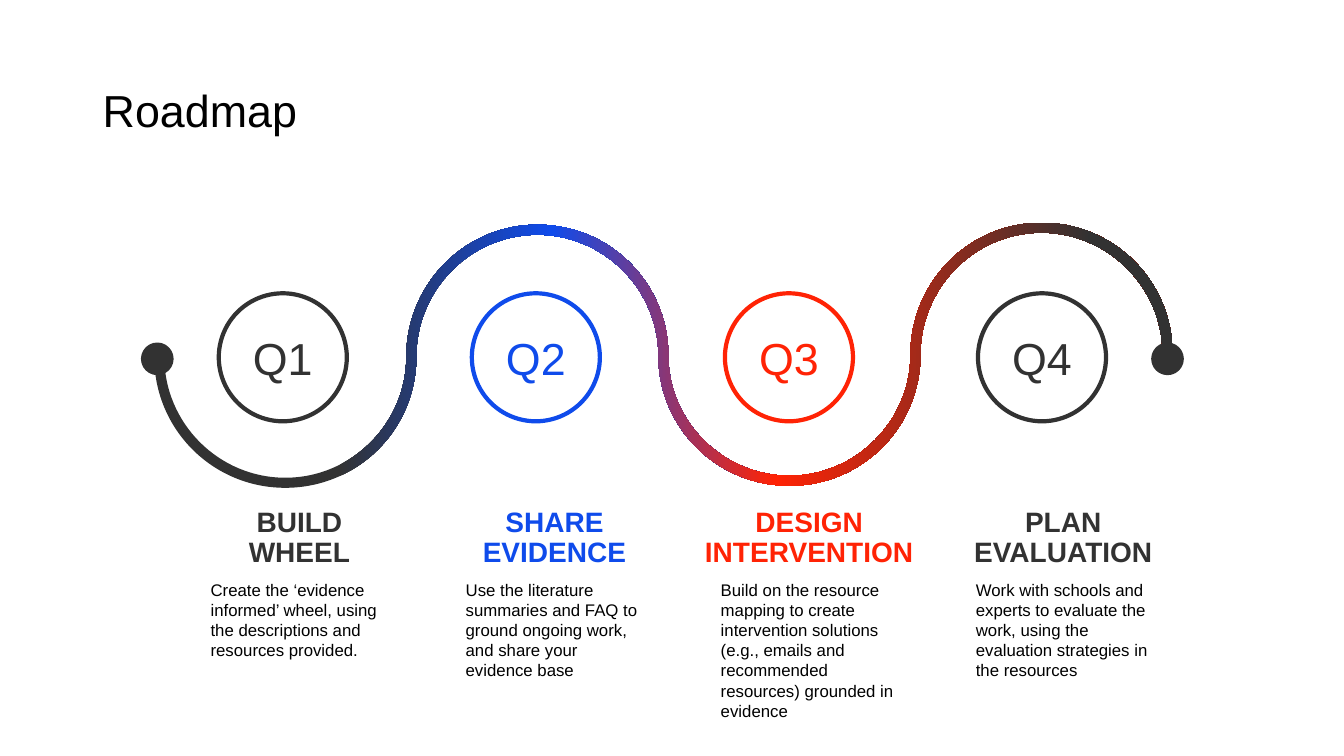
from lxml.etree import SubElement
from pptx import Presentation
from pptx.dml.color import RGBColor as RGB
from pptx.enum.shapes import MSO_SHAPE as Shape
from pptx.enum.text import MSO_ANCHOR as Anchor, PP_ALIGN as Align
from pptx.oxml.ns import qn
from pptx.util import Pt

PX = 9144
BEND = 0.55
DARK, BLUE, RED, WHITE, BLACK = "323232", "0F4BEB", "FF2305", "FFFFFF", "000000"
STEPS = [
    ("Q1", DARK, "BUILD WHEEL", 199, 196,
     "Create the ‘evidence informed’ wheel, using the descriptions and resources provided."),
    ("Q2", BLUE, "SHARE EVIDENCE", 452, 196,
     "Use the literature summaries and FAQ to ground ongoing work, and share your evidence base"),
    ("Q3", RED, "DESIGN INTERVENTION", 685, 235,
     "Build on the resource mapping to create intervention solutions (e.g., emails and "
     "recommended resources) grounded in evidence"),
    ("Q4", DARK, "PLAN EVALUATION", 945, 219,
     "Work with schools and experts to evaluate the work, using the evaluation strategies "
     "in the resources"),
]
STOPS = [(18, DARK), (39, BLUE), (61, RED), (92, DARK)]
TITLE = {"size": Pt(32)}
HEAD = {"size": Pt(20), "bold": True}
BODY = {"size": Pt(12)}


def px(*nums):
    return [num * PX for num in nums]


def tint(color, code):
    color.rgb = RGB.from_string(code)


def apply(item, values):
    for name, value in values.items():
        setattr(item, name, value)


def write(frame, text, code, font, para):
    line = frame.paragraphs[0]
    apply(line, para)
    run = line.add_run()
    run.text = text
    apply(run.font, {"name": "Arial", **font})
    tint(run.font.color, code)


def add_text(slide, box, text, code, font, para, anchor=Anchor.TOP):
    frame = slide.shapes.add_textbox(*px(*box)).text_frame
    apply(frame, {"word_wrap": True, "vertical_anchor": anchor})
    write(frame, text, code, font, para)


def add_disc(slide, left, top, size, fill, edge, width):
    disc = slide.shapes.add_shape(Shape.OVAL, *px(left, top, size, size))
    disc.shadow.inherit = False
    disc.fill.solid()
    tint(disc.fill.fore_color, fill)
    tint(disc.line.color, edge)
    disc.line.width = Pt(width)
    return disc


def add_ring(slide, left, label, code):
    frame = add_disc(slide, left, 291, 127, WHITE, code, 3).text_frame
    apply(frame, {"word_wrap": False, "vertical_anchor": Anchor.MIDDLE})
    write(frame, label, code, TITLE, {"alignment": Align.CENTER})


def trace_edge(shift):
    nodes = [(158 - shift, 354)]
    for i in range(4):
        side = 1 if i % 2 == 0 else -1
        mid = 283 + 250 * i
        nodes.append((mid, 354 - i + side * 125 + shift))
        nodes.append((mid + 125 + side * shift, 354 - i))
    return nodes


def curve(shape, cap):
    outline = next(shape.element.iter(qn("a:path")))
    nodes = list(outline.iter(qn("a:pt")))
    spots = [(int(node.get("x")), int(node.get("y"))) for node in nodes]
    for n in range(1, len(nodes)):
        if n == cap:
            continue
        (x0, y0), (x1, y1) = spots[n - 1], spots[n]
        dx, dy = round(BEND * (x1 - x0)), round(BEND * (y1 - y0))
        if (n - 1) % cap % 2 == 0:
            grips = [(x0, y0 + dy), (x1 - dx, y1)]
        else:
            grips = [(x0 + dx, y0), (x1, y1 - dy)]
        line = nodes[n].getparent()
        bow = SubElement(outline, qn("a:cubicBezTo"))
        for x, y in grips + [spots[n]]:
            SubElement(bow, qn("a:pt"), x=str(x), y=str(y))
        outline.replace(line, bow)


def blend(shape, stops):
    shape.fill.gradient()
    shape.fill.gradient_angle = 0
    group = next(shape.element.iter(qn("a:gsLst")))
    for old in list(group):
        group.remove(old)
    for place, code in stops:
        stop = SubElement(group, qn("a:gs"), pos=str(place * 1000))
        SubElement(stop, qn("a:srgbClr"), val=code)


def add_wave(slide):
    edge = trace_edge(5)
    nodes = edge + trace_edge(-5)[::-1]
    pen = slide.shapes.build_freeform(*nodes[0], scale=PX)
    pen.add_line_segments(nodes[1:], close=True)
    wave = pen.convert_to_shape()
    wave.shadow.inherit = False
    curve(wave, len(edge))
    blend(wave, STOPS)
    wave.line.fill.background()


def main():
    deck = Presentation()
    deck.slide_width, deck.slide_height = px(1333, 750)
    slide = deck.slides.add_slide(deck.slide_layouts[6])
    for i, (label, code, head, left, width, body) in enumerate(STEPS):
        add_ring(slide, 217 + 251 * i, label, code)
    add_wave(slide)
    for left in (144, 1146):
        add_disc(slide, left, 344, 24, DARK, DARK, 6)
    for i, (label, code, head, left, width, body) in enumerate(STEPS):
        add_text(slide, (left, 499, width, 33), head, code, HEAD,
                 {"alignment": Align.CENTER, "line_spacing": 0.9})
        add_text(slide, (199 + 253 * i, 570, 198, 77), body, BLACK, BODY, {})
    add_text(slide, (92, 40, 1150, 145), "Roadmap", BLACK, TITLE,
             {"line_spacing": 0.9}, Anchor.MIDDLE)
    deck.save("out.pptx")


if __name__ == "__main__":
    main()
